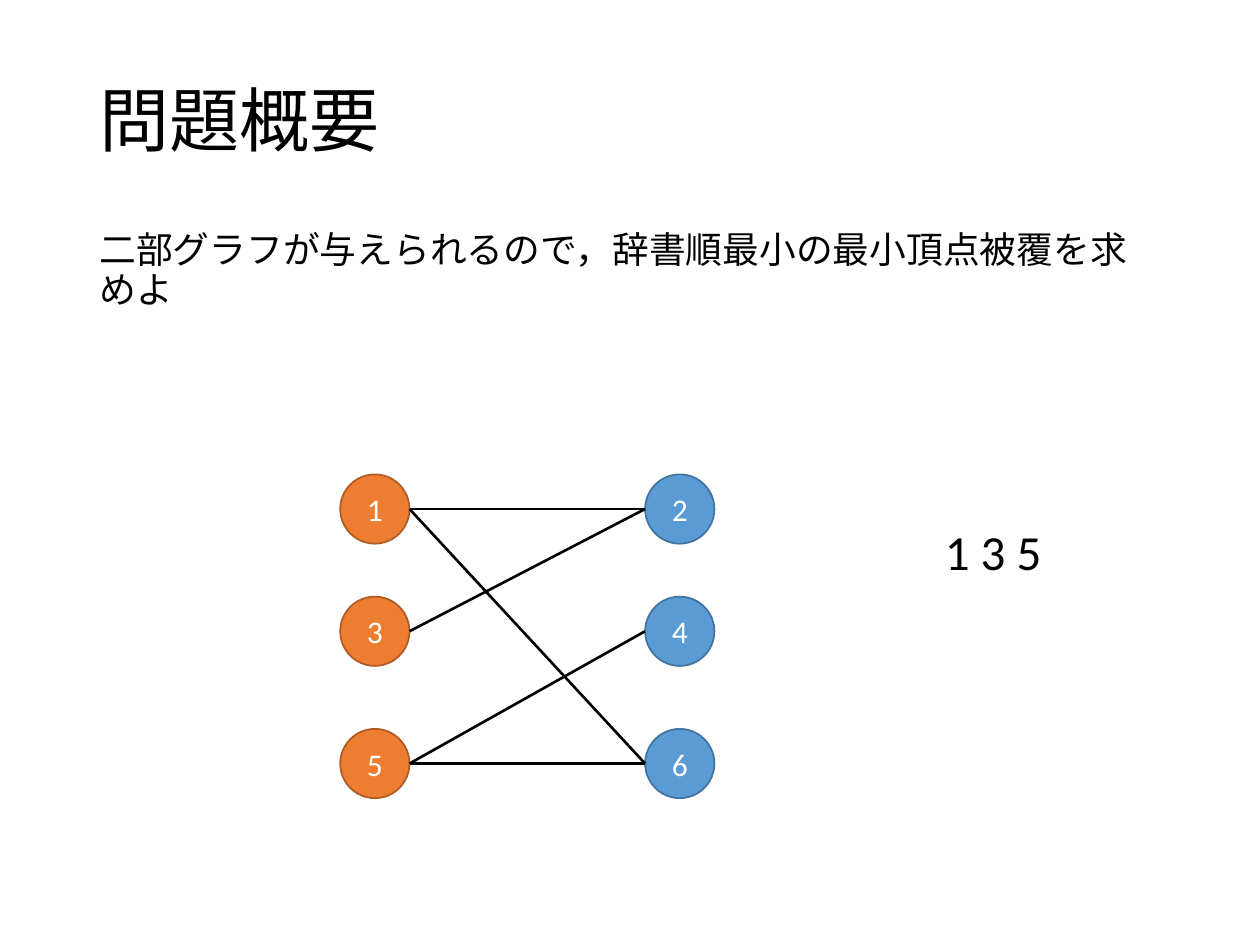
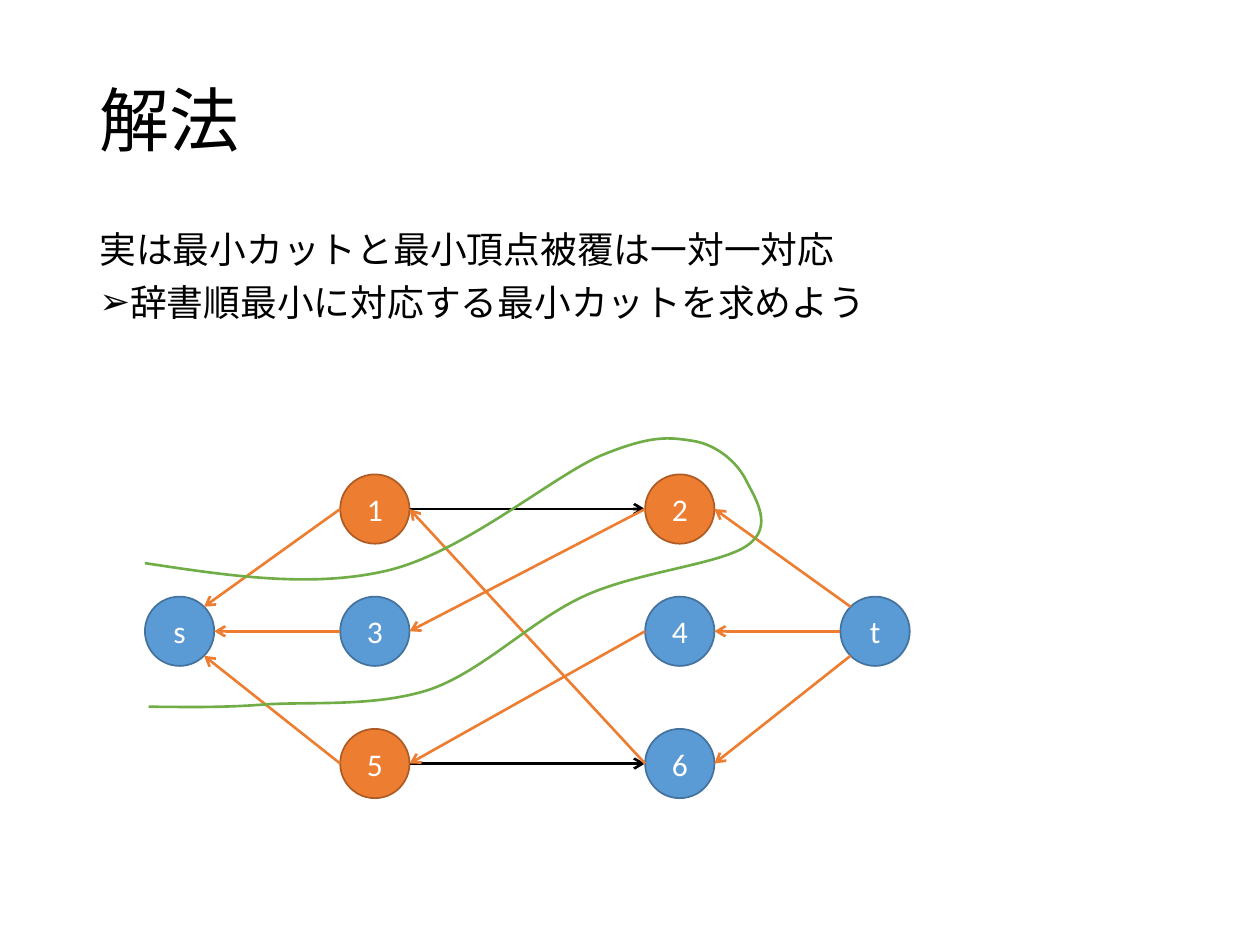
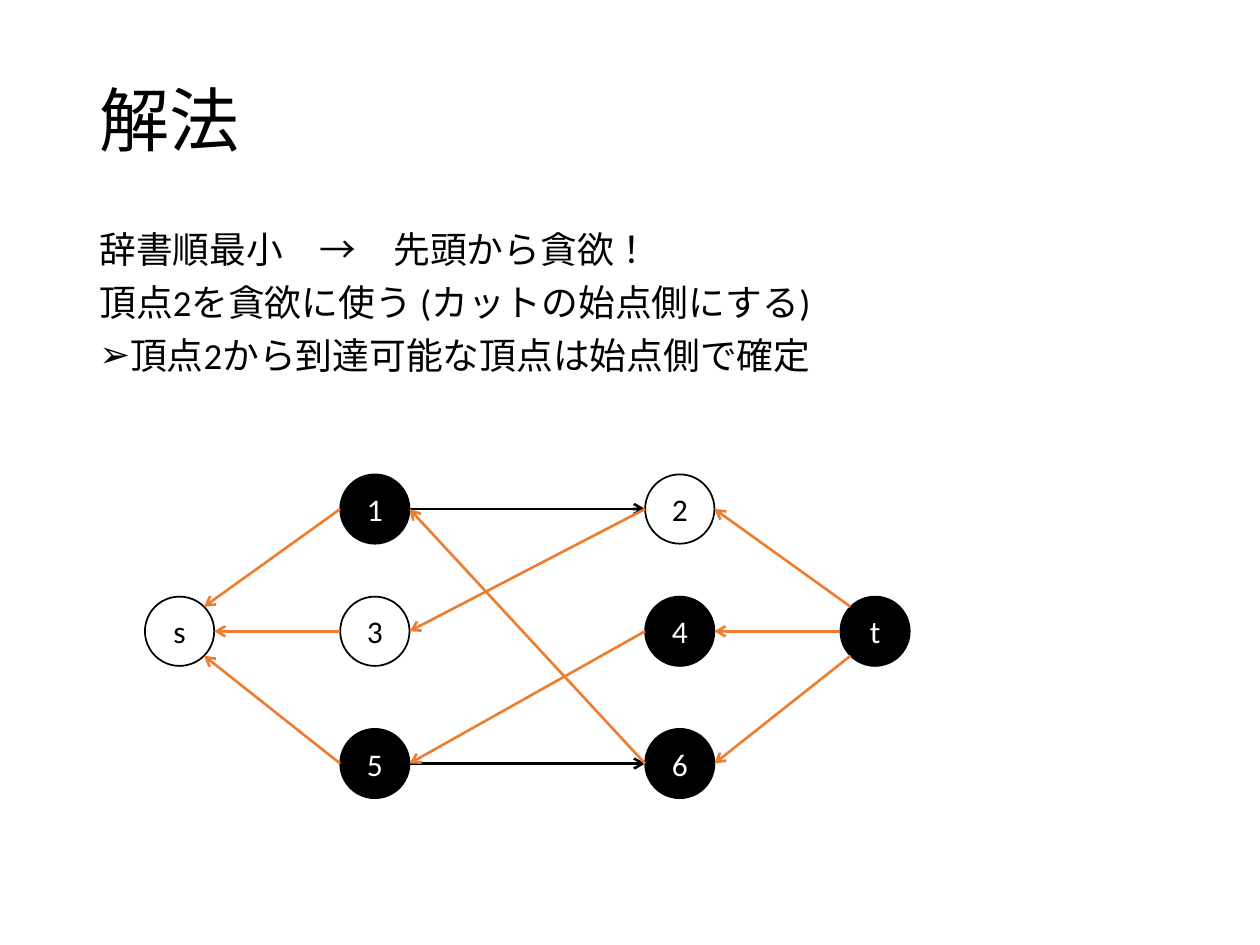
"""Build three slides on the smallest vertex cover of a bipartite graph."""
from math import cos, radians, sin

from lxml.etree import SubElement
from pptx import Presentation
from pptx.dml.color import RGBColor
from pptx.enum.lang import MSO_LANGUAGE_ID as Language
from pptx.enum.shapes import MSO_CONNECTOR as Connector, MSO_SHAPE as Shape
from pptx.enum.text import MSO_ANCHOR as Anchor, PP_ALIGN as Align
from pptx.oxml.ns import qn
from pptx.util import Pt

PX = 9144
FONT = "Calibri"
BLACK, WHITE, ORANGE, GREEN = "000000", "FFFFFF", "ED7D31", "70AD47"
BULLET, HANG = "➢", 19

STYLES = {
    "orange": (ORANGE, "AF5C24", WHITE),
    "blue": ("5B9BD5", "43739E", WHITE),
    "black": (BLACK, BLACK, WHITE),
    "white": (WHITE, BLACK, BLACK),
}

DIAMETER = 55
COLUMNS = {"s": 115, "odd": 270, "even": 512, "t": 667}
ROW_CENTERS = [404, 501, 606]
NODES = {
    "1": ("odd", 0), "2": ("even", 0), "3": ("odd", 1), "4": ("even", 1),
    "5": ("odd", 2), "6": ("even", 2), "s": ("s", 1), "t": ("t", 1),
}

PLAIN_EDGES = [("1", "2"), ("5", "4"), ("1", "6"), ("3", "2"), ("5", "6")]
FORWARD_EDGES = [("1", "2"), ("5", "6")]
RESIDUAL_EDGES = [
    ("4", "5"), ("6", "1"), ("2", "3"),
    ("1", "s"), ("3", "s"), ("5", "s"),
    ("t", "2"), ("t", "4"), ("t", "6"),
]
FLOW_EDGES = [(FORWARD_EDGES, BLACK, True), (RESIDUAL_EDGES, ORANGE, True)]

CUT_CORNERS = [(115, 348), (604, 561)]
CUT_START = (115, 447)
CUT_CURVES = [
    [(181, 457), (247, 467), (307, 453)],
    [(367, 439), (436, 380), (476, 362)],
    [(517, 345), (531, 347), (550, 350)],
    [(569, 353), (585, 367), (592, 381)],
    [(599, 395), (615, 418), (593, 433)],
    [(572, 448), (505, 454), (464, 473)],
    [(422, 492), (384, 532), (342, 547)],
    [(300, 561), (250, 557), (212, 559)],
    [(175, 562), (147, 561), (118, 561)],
]

SLIDES = [
    {
        "title": "問題概要",
        "body": [("二部グラフが与えられるので，辞書順最小の最小頂点被覆を求めよ", False)],
        "nodes": {"orange": "135", "blue": "246"},
        "edges": [(PLAIN_EDGES, BLACK, False)],
        "answer": "1 3 5",
    },
    {
        "title": "解法",
        "body": [
            ("実は最小カットと最小頂点被覆は一対一対応", False),
            ("辞書順最小に対応する最小カットを求めよう", True),
        ],
        "nodes": {"orange": "125", "blue": "346st"},
        "edges": FLOW_EDGES,
        "cut": True,
    },
    {
        "title": "解法",
        "body": [
            ("辞書順最小　→　先頭から貪欲！", False),
            ("頂点2を貪欲に使う (カットの始点側にする)", False),
            ("頂点2から到達可能な頂点は始点側で確定", True),
        ],
        "nodes": {"black": "1456t", "white": "23s"},
        "edges": FLOW_EDGES,
    },
]


def emu(*lengths):
    return [round(length * PX) for length in lengths]


def color(code):
    return RGBColor.from_string(code)


def add_span(para, text, size, code=BLACK):
    span = para.add_run()
    span.text = text
    span.font.name = FONT
    span.font.size = Pt(size)
    span.font.color.rgb = color(code)
    span.font.language_id = Language.JAPANESE


def add_bullet(para):
    properties = para._p.get_or_add_pPr()
    indent, = emu(HANG)
    properties.set("marL", str(indent))
    properties.set("indent", str(-indent))
    SubElement(properties, qn("a:buFont"), typeface=FONT)
    SubElement(properties, qn("a:buChar"), char=BULLET)


def add_text(page, place, lines, size, spacing=0.9, anchor=Anchor.TOP, wrap=True):
    frame = page.shapes.add_textbox(*emu(*place)).text_frame
    frame.word_wrap = wrap
    frame.vertical_anchor = anchor
    for index, (text, bulleted) in enumerate(lines):
        para = frame.add_paragraph() if index else frame.paragraphs[0]
        para.line_spacing = spacing
        para.space_before = Pt(7.5 if index else 0)
        if bulleted:
            add_bullet(para)
        add_span(para, text, size)


def center(name):
    column, row = NODES[name]
    return COLUMNS[column] + DIAMETER / 2, ROW_CENTERS[row]


def add_node(page, name, style):
    fill, outline, ink = STYLES[style]
    x, y = center(name)
    place = (x - DIAMETER / 2, y - DIAMETER / 2, DIAMETER, DIAMETER)
    node = page.shapes.add_shape(Shape.OVAL, *emu(*place))
    node.shadow.inherit = False
    node.fill.solid()
    node.fill.fore_color.rgb = color(fill)
    node.line.color.rgb = color(outline)
    node.line.width = Pt(1)
    node.text_frame.vertical_anchor = Anchor.MIDDLE
    para = node.text_frame.paragraphs[0]
    para.alignment = Align.CENTER
    add_span(para, name, 18, ink)


def edge_end(name, other):
    """Return the point on a node's rim that faces another node."""
    (x, y), (other_x, other_y) = center(name), center(other)
    angle = radians(45 if name in "st" and y != other_y else 0)
    across = 1 if other_x > x else -1
    down = 1 if other_y > y else -1
    radius = DIAMETER / 2
    return x + across * radius * cos(angle), y + down * radius * sin(angle)


def add_edge(page, start, end, code, arrow):
    ends = emu(*edge_end(start, end), *edge_end(end, start))
    edge = page.shapes.add_connector(Connector.STRAIGHT, *ends)
    edge.line.color.rgb = color(code)
    edge.line.width = Pt(1.5)
    if arrow:
        SubElement(edge.line._get_or_add_ln(), qn("a:tailEnd"), type="arrow")
    SubElement(edge._element.spPr, qn("a:effectLst"))


def add_cut(page):
    corner, opposite = CUT_CORNERS
    builder = page.shapes.build_freeform(*emu(*corner))
    builder.add_line_segments([emu(*opposite)], close=False)
    cut = builder.convert_to_shape()
    cut.shadow.inherit = False
    cut.fill.background()
    cut.line.color.rgb = color(GREEN)
    cut.line.width = Pt(1.5)
    outline = next(cut._element.iter(qn("a:path")))
    for segment in list(outline):
        outline.remove(segment)
    steps = [("a:moveTo", [CUT_START])] + [("a:cubicBezTo", curve) for curve in CUT_CURVES]
    for tag, points in steps:
        segment = SubElement(outline, qn(tag))
        for point in points:
            x, y = emu(point[0] - corner[0], point[1] - corner[1])
            SubElement(segment, qn("a:pt"), x=str(x), y=str(y))


def add_page(deck, content):
    page = deck.slides.add_slide(deck.slide_layouts[6])
    add_text(page, (69, 40, 862, 116), [(content["title"], False)], 40, anchor=Anchor.MIDDLE)
    add_text(page, (69, 179, 862, 497), content["body"], 21)
    if "answer" in content:
        add_text(page, (740, 409, 98, 57), [(content["answer"], False)], 28, 1.0, wrap=False)
    for style, names in content["nodes"].items():
        for name in names:
            add_node(page, name, style)
    for edges, code, arrow in content["edges"]:
        for start, end in edges:
            add_edge(page, start, end, code, arrow)
    if content.get("cut"):
        add_cut(page)


def main():
    deck = Presentation()
    deck.slide_width, deck.slide_height = emu(1000, 750)
    for content in SLIDES:
        add_page(deck, content)
    deck.save("out.pptx")


if __name__ == "__main__":
    main()
